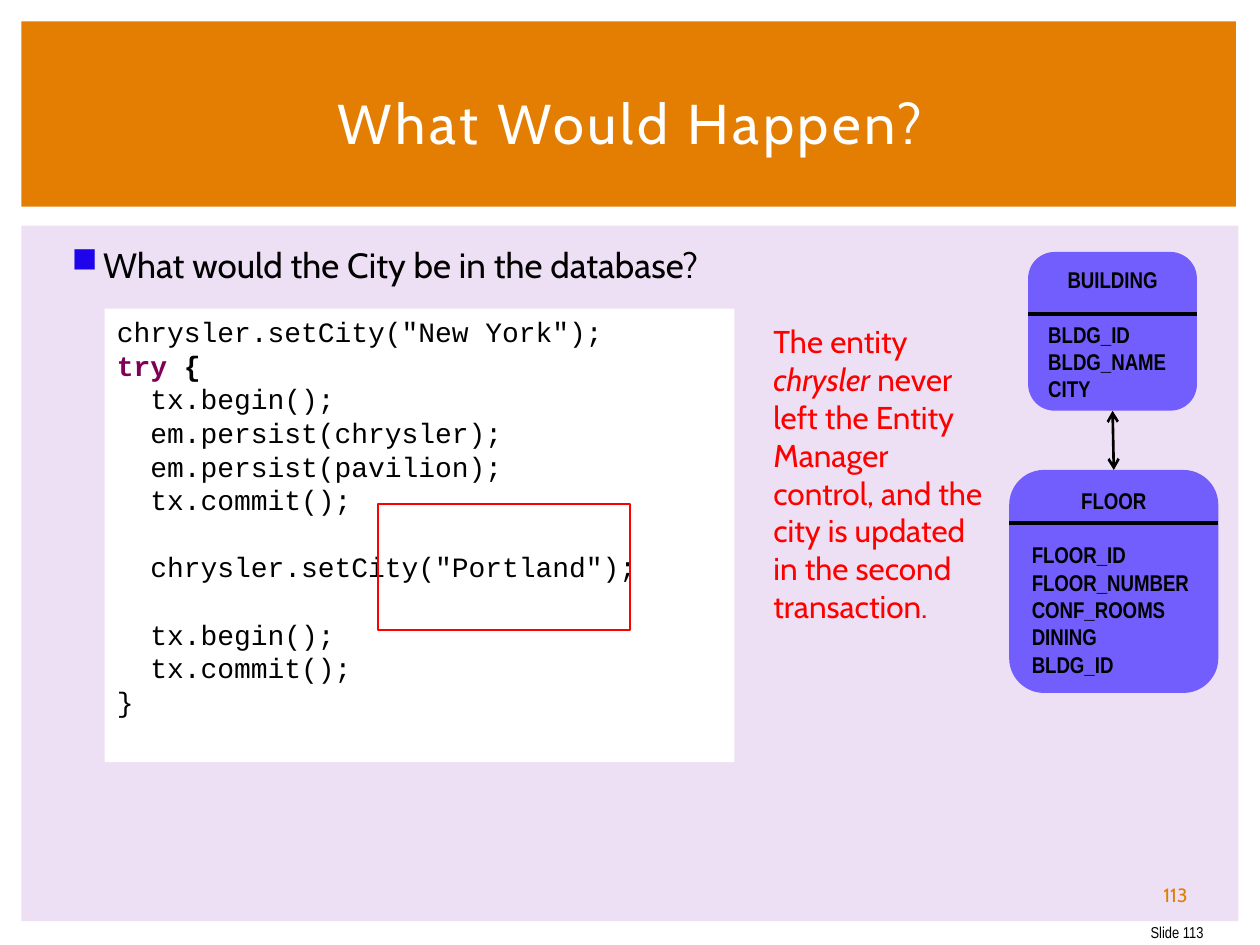
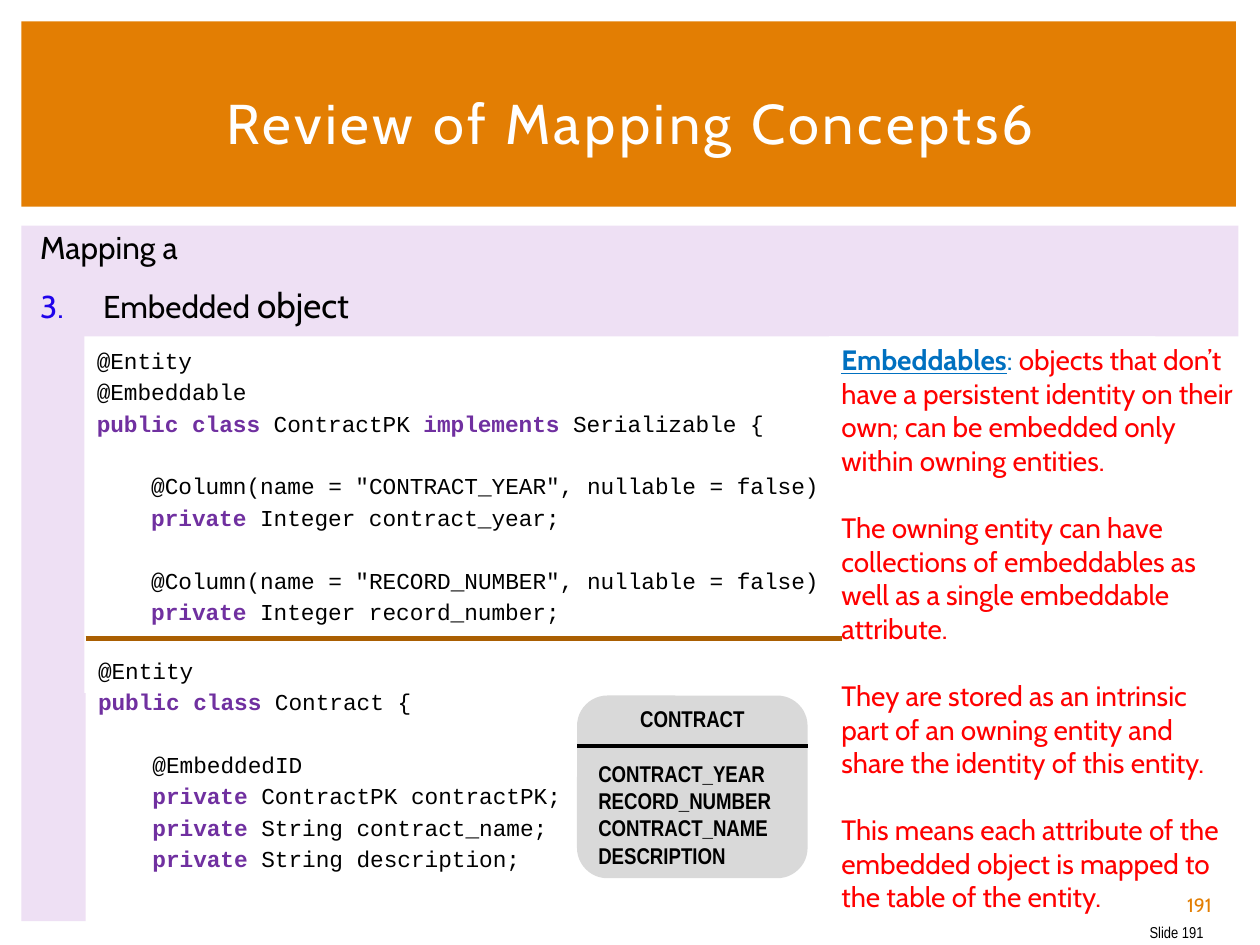
from lxml.etree import SubElement
from pptx import Presentation
from pptx.dml.color import RGBColor
from pptx.enum.shapes import MSO_CONNECTOR, MSO_SHAPE
from pptx.enum.text import MSO_ANCHOR, PP_ALIGN
from pptx.oxml.ns import qn
from pptx.util import Inches, Pt

rgb = RGBColor.from_string
ORANGE, LILAC, WHITE, BLACK, RED = "E37E03", "EEE0F4", "FFFFFF", "000000", "FF0000"
BULLET, VIOLET, GREY, BROWN = "1F03EB", "715EFD", "D9D9D9", "AA5F02"
ECLIPSE_PURPLE, PURPLE, LINK = "7F0055", "7030A0", "0070C0"
BODY, CODE, NARROW = "Cabin", "Courier New", "Arial Narrow"
LINE_HEIGHT = 1.2


def block(slide, area, fill=None, preset=None):
    """Add a preset shape without outline, or a text box when preset is None."""
    area = [Inches(length) for length in area]
    if preset is None:
        shape = slide.shapes.add_textbox(*area)
    else:
        shape = slide.shapes.add_shape(preset, *area)
        shape.shadow.inherit = False
        shape.line.fill.background()
    if fill:
        shape.fill.solid()
        shape.fill.fore_color.rgb = rgb(fill)
    return shape


def write(shape, lines, size, font=BODY, color=BLACK, accent=None, spacing=1.0,
          align=PP_ALIGN.LEFT, anchor=MSO_ANCHOR.TOP):
    """Write one paragraph per line; '' leaves a line's gap, |...| is bold in accent."""
    frame = shape.text_frame
    frame.word_wrap = True
    frame.vertical_anchor = anchor
    paragraphs, gap = [], 0
    for line in lines:
        if not line:
            gap = size * LINE_HEIGHT * spacing
            continue
        paragraph = frame.add_paragraph() if paragraphs else frame.paragraphs[0]
        paragraph.alignment = align
        paragraph.line_spacing = spacing
        paragraph.space_before = Pt(round(gap, 1))
        paragraph.font.size = Pt(size)
        paragraph.font.name = font
        paragraph.font.color.rgb = rgb(color)
        for index, part in enumerate(line.split("|")):
            if part:
                run = paragraph.add_run()
                run.text = part
                if index % 2:
                    run.font.bold = True
                    run.font.color.rgb = rgb(accent)
        paragraphs.append(paragraph)
        gap = 0
    return paragraphs


prs = Presentation()
prs.slide_width, prs.slide_height = Inches(10), Inches(7.5)

# Bands, title and footer shared by both slides
slides = []
for title, number in [("What Would Happen?", 113), ("Review of Mapping Concepts6", 191)]:
    slide = prs.slides.add_slide(prs.slide_layouts[6])
    block(slide, (0.17, 1.79, 9.66, 5.52), LILAC, MSO_SHAPE.RECTANGLE)
    block(slide, (0.17, 0.17, 9.64, 1.47), ORANGE, MSO_SHAPE.RECTANGLE)
    write(block(slide, (9.01, 7.25, 0.64, 0.3)), [f"Slide {number}"], 9, NARROW,
          align=PP_ALIGN.RIGHT, anchor=MSO_ANCHOR.MIDDLE)
    heading = write(block(slide, (0.42, 0.39, 9.17, 1.15)), [title], 32, color=WHITE,
                    align=PP_ALIGN.CENTER, anchor=MSO_ANCHOR.MIDDLE)[0]
    heading.runs[0]._r.get_or_add_rPr().set("spc", "200")
    slides.append(slide)
happen, mapping = slides

# Opening question and numbered topic
question = write(block(happen, (0.42, 1.88, 9.19, 0.5)),
                 ["What would the City be in the database?"], 20)[0]
intro, topic = write(block(mapping, (0.17, 1.76, 9.19, 0.9)),
                     ["Mapping a", "Embedded object"], 18)
intro._p.get_or_add_pPr().set("marL", str(Inches(0.05)))
intro.space_after = Pt(6)
topic.space_before = Pt(4)
topic.runs[0].text = "Embedded "
larger = topic.add_run()
larger.text = "object"
larger.font.size = Pt(20)

for paragraph, margin, indent, tag, settings in [
    (question, 0.3, -0.25, "a:buChar", {"char": "■"}),
    (topic, 0.55, -0.5, "a:buAutoNum", {"type": "arabicPeriod", "startAt": "3"}),
]:
    properties = paragraph._p.get_or_add_pPr()
    properties.set("marL", str(Inches(margin)))
    properties.set("indent", str(Inches(indent)))
    default_run = properties.find(qn("a:defRPr"))
    bullet_color = SubElement(properties, qn("a:buClr"))
    SubElement(bullet_color, qn("a:srgbClr"), val=BULLET)
    SubElement(properties, qn(tag), settings)
    properties.append(default_run)

# Slide 113: transaction code, circled value and answer
transaction = write(block(happen, (0.83, 2.45, 5, 3.6), WHITE), [
    'chrysler.setCity("New York");',
    "|try| {",
    "  tx.begin();",
    "  em.persist(chrysler);",
    "  em.persist(pavilion);",
    "  tx.commit();",
    "",
    '  chrysler.setCity("Portland");',
    "",
    "  tx.begin();",
    "  tx.commit();",
    "}",
], 16, CODE, accent=ECLIPSE_PURPLE)
transaction[1].runs[1].font.bold = True

circle_points = [
    (3.92, 4.31), (3.57, 4.31), (3.53, 4.32), (3.5, 4.34), (3.46, 4.36), (3.43, 4.4),
    (3.42, 4.44), (3.43, 4.52), (3.46, 4.55), (3.51, 4.58), (3.56, 4.6), (3.63, 4.61),
    (3.75, 4.62), (4.07, 4.61), (4.32, 4.61), (4.58, 4.63), (4.71, 4.62), (4.75, 4.59),
    (4.8, 4.57), (4.83, 4.53), (4.83, 4.47), (4.83, 4.42), (4.81, 4.39), (4.76, 4.34),
    (4.71, 4.31), (4.65, 4.31), (4.6, 4.3), (4.5, 4.31), (4.22, 4.3),
]
outline = happen.shapes.build_freeform(*circle_points[0], scale=Inches(1))
outline.add_line_segments(circle_points[1:], close=True)
circle = outline.convert_to_shape()
circle.shadow.inherit = False
circle.fill.background()
circle.line.color.rgb = rgb(RED)
circle.line.width = Pt(1.5)

answer = write(block(happen, (6.04, 2.51, 1.86, 2.83)), [
    "The entity |chrysler| never left the Entity Manager control, "
    "and the city is updated in the second transaction."
], 18, color=RED, accent=RED)[0]
answer.runs[1].font.bold = False
answer.runs[1].font.italic = True

# Slide 191: the two classes and the explanation
write(block(mapping, (0.67, 2.67, 8.5, 2.83), WHITE), [
    "@Entity",
    "@Embeddable",
    "|public class |ContractPK |implements |Serializable {",
    "",
    '    @Column(name = "CONTRACT_YEAR", nullable = false)',
    "    |private |Integer contract_year;",
    "",
    '    @Column(name = "RECORD_NUMBER", nullable = false)',
    "    |private |Integer record_number;",
], 13, CODE, accent=PURPLE, spacing=1.15)
write(block(mapping, (0.68, 5.13, 8.5, 2.2), WHITE), [
    "@Entity",
    "|public class |Contract {",
    "",
    "    @EmbeddedID",
    "    |private |ContractPK contractPK;",
    "    |private |String contract_name;",
    "    |private |String description;",
], 13, CODE, accent=PURPLE, spacing=1.15)
explanation = write(block(mapping, (6.58, 2.67, 3.33, 4.68), WHITE), [
    "|Embeddables||:| objects that don’t have a persistent identity on their own; "
    "can be embedded only within owning entities.",
    "",
    "The owning entity can have collections of embeddables as well as a single "
    "embeddable attribute.",
    "",
    "They are stored as an intrinsic part of an owning entity and share the identity "
    "of this entity.",
    "",
    "This means each attribute of the embedded object is mapped to the table of the entity.",
], 16, color=RED, accent=LINK)
term, colon = explanation[0].runs[:2]
term.font.underline = True
colon.font.bold = False

# Database tables: name above the rule, columns below
tables = {}
rules = [(mapping, 0.68, 5.07, 6, BROWN, 3)]
for slide, name, area, rule_y, fill, anchor, columns in [
    (happen, "BUILDING", (8.16, 2, 1.34, 1.26), 2.49, VIOLET, MSO_ANCHOR.TOP,
     ["BLDG_ID", "BLDG_NAME", "CITY"]),
    (happen, "FLOOR", (8.01, 3.73, 1.66, 1.77), 4.15, VIOLET, MSO_ANCHOR.TOP,
     ["FLOOR_ID", "FLOOR_NUMBER", "CONF_ROOMS", "DINING", "BLDG_ID"]),
    (mapping, "CONTRACT", (4.58, 5.52, 1.83, 1.45), 5.92, GREY, MSO_ANCHOR.MIDDLE,
     ["CONTRACT_YEAR", "RECORD_NUMBER", "CONTRACT_NAME", "DESCRIPTION"]),
]:
    tables[name] = block(slide, area, fill, MSO_SHAPE.ROUNDED_RECTANGLE)
    entries = write(tables[name], [name, "", *columns], 13, NARROW, anchor=anchor)
    entries[0].alignment = PP_ALIGN.CENTER
    for entry in entries:
        entry.font.bold = True
    rules.append((slide, area[0], rule_y, area[2], BLACK, 2.25))

lines = []
for slide, left, y, width, color, weight in rules:
    rule = slide.shapes.add_connector(
        MSO_CONNECTOR.STRAIGHT, Inches(left), Inches(y), Inches(left + width), Inches(y))
    lines.append((rule, color, weight))
relation = happen.shapes.add_connector(
    MSO_CONNECTOR.STRAIGHT, Inches(8.84), Inches(3.73), Inches(8.83), Inches(3.26))
relation.begin_connect(tables["FLOOR"], 0)
relation.end_connect(tables["BUILDING"], 2)
lines.append((relation, BLACK, 1.5))

for connector, color, weight in lines:
    connector.line.color.rgb = rgb(color)
    connector.line.width = Pt(weight)
    SubElement(connector._element.spPr, qn("a:effectLst"))
for end in ("a:headEnd", "a:tailEnd"):
    SubElement(relation.line._get_or_add_ln(), qn(end), type="arrow")

# Page numbers lie above everything else
for slide, number, left, top in [(happen, "113", 9.01, 6.95), (mapping, "191", 9.2, 7.03)]:
    write(block(slide, (left, top, 0.64, 0.3)), [number], 11, color=ORANGE,
          align=PP_ALIGN.CENTER, anchor=MSO_ANCHOR.MIDDLE)

prs.save("out.pptx")
